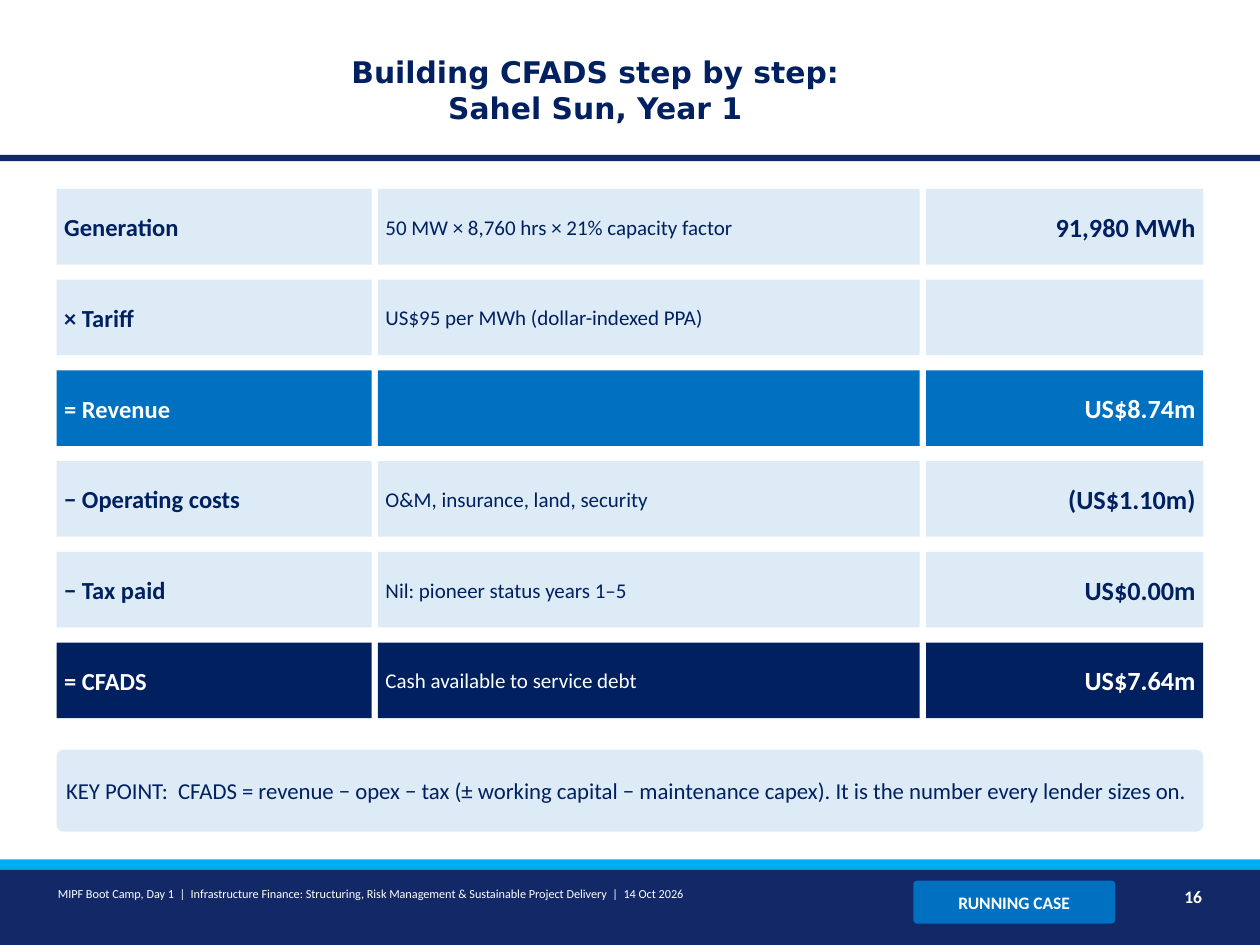
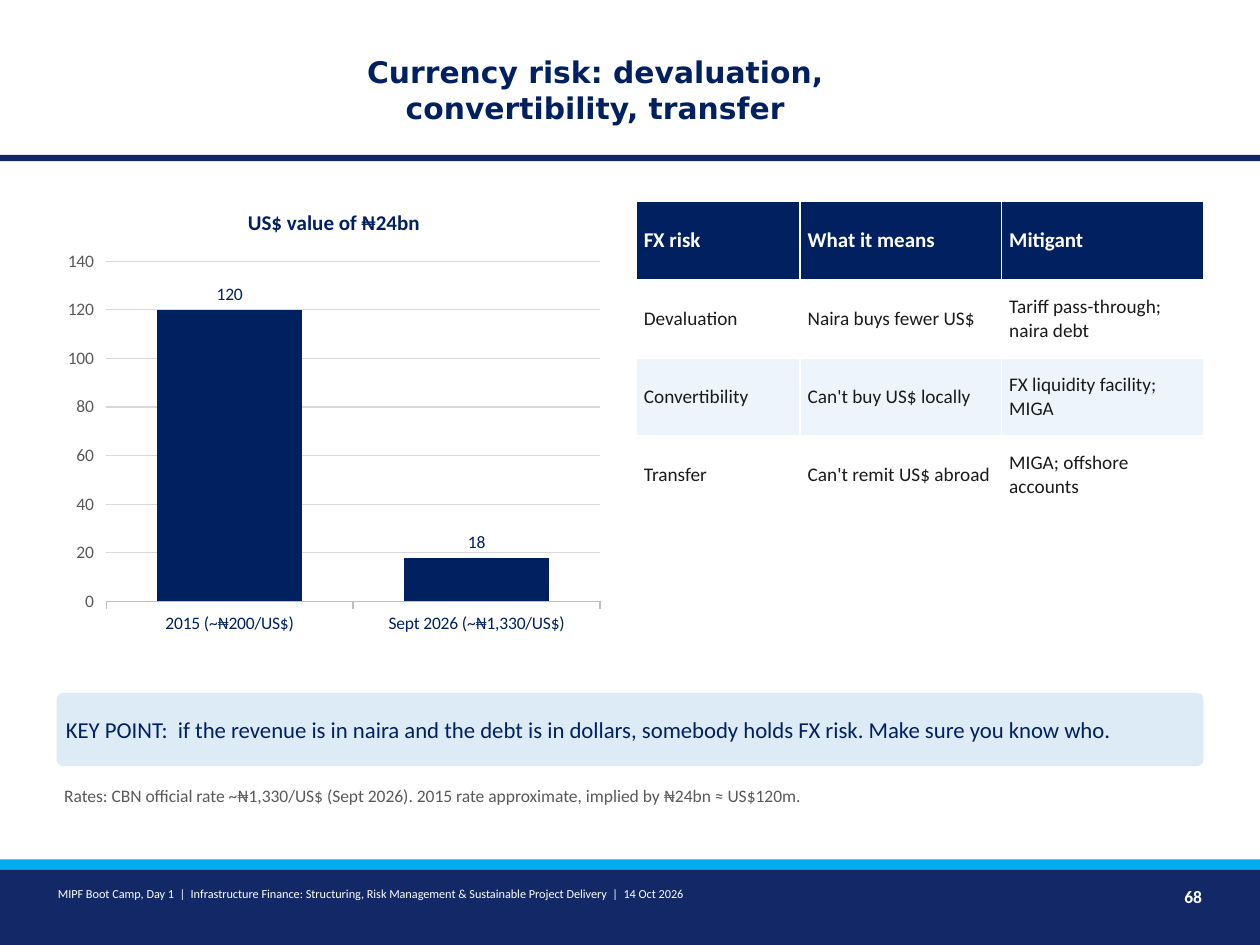
from pptx import Presentation
from pptx.chart.data import CategoryChartData
from pptx.dml.color import RGBColor
from pptx.enum.chart import XL_CHART_TYPE, XL_LABEL_POSITION, XL_TICK_MARK
from pptx.enum.shapes import MSO_SHAPE
from pptx.enum.text import MSO_ANCHOR, MSO_AUTO_SIZE, PP_ALIGN
from pptx.util import Pt

NAVY = RGBColor(0x00, 0x20, 0x60)
BAND_NAVY = RGBColor(0x12, 0x28, 0x67)
BLUE = RGBColor(0x00, 0x70, 0xC0)
CYAN = RGBColor(0x00, 0xAE, 0xEF)
PALE_BLUE = RGBColor(0xDD, 0xEB, 0xF7)
STRIPE = RGBColor(0xEE, 0xF4, 0xFB)
WHITE = RGBColor(0xFF, 0xFF, 0xFF)
INK = RGBColor(0x1A, 0x1A, 0x1A)
GREY = RGBColor(0x59, 0x59, 0x59)
AXIS_GREY = RGBColor(0xBF, 0xBF, 0xBF)
GRID_GREY = RGBColor(0xD9, 0xD9, 0xD9)

RECTANGLE = MSO_SHAPE.RECTANGLE
ROUNDED = MSO_SHAPE.ROUNDED_RECTANGLE
LEFT, CENTER, RIGHT = PP_ALIGN.LEFT, PP_ALIGN.CENTER, PP_ALIGN.RIGHT
TOP, MIDDLE = MSO_ANCHOR.TOP, MSO_ANCHOR.MIDDLE
NO_FIT, GROW = MSO_AUTO_SIZE.NONE, MSO_AUTO_SIZE.SHAPE_TO_FIT_TEXT
COLUMN = XL_CHART_TYPE.COLUMN_CLUSTERED
OUTSIDE_END = XL_LABEL_POSITION.OUTSIDE_END
TICK_OUT = XL_TICK_MARK.OUTSIDE

BODY_FONT = "Calibri"
TITLE_FONT = "DejaVu Sans"
SLIDE_WIDTH, SLIDE_HEIGHT = 720, 540
MARGIN = 32.4
CONTENT_WIDTH = SLIDE_WIDTH - 2 * MARGIN
INSET_X, INSET_Y = 4.32, 2.16
FOOTER = (
    "MIPF Boot Camp, Day 1  |  Infrastructure Finance: Structuring, "
    "Risk Management & Sustainable Project Delivery  |  14 Oct 2026"
)
BANDS = [(88.56, 3.6, BAND_NAVY), (496.8, 43.2, BAND_NAVY), (491.04, 5.76, CYAN)]

CFADS_COLUMNS = [
    (180, 14, True, LEFT),
    (309.6, 12, False, LEFT),
    (158.4, 15, True, RIGHT),
]
CFADS_TOP, CFADS_HEIGHT, CFADS_PITCH, CFADS_GAP = 108, 43.2, 51.84, 3.6
CFADS_ROWS = [
    (PALE_BLUE, NAVY, ("Generation", "50 MW × 8,760 hrs × 21% capacity factor", "91,980 MWh")),
    (PALE_BLUE, NAVY, ("× Tariff", "US$95 per MWh (dollar-indexed PPA)", "")),
    (BLUE, WHITE, ("= Revenue", "", "US$8.74m")),
    (PALE_BLUE, NAVY, ("− Operating costs", "O&M, insurance, land, security", "(US$1.10m)")),
    (PALE_BLUE, NAVY, ("− Tax paid", "Nil: pioneer status years 1–5", "US$0.00m")),
    (NAVY, WHITE, ("= CFADS", "Cash available to service debt", "US$7.64m")),
]

FX_COLUMN_WIDTHS = [93.6, 115.2, 115.2]
FX_ROW_HEIGHT = 44.64
FX_ROWS = [
    ("FX risk", "What it means", "Mitigant"),
    ("Devaluation", "Naira buys fewer US$", "Tariff pass-through; naira debt"),
    ("Convertibility", "Can't buy US$ locally", "FX liquidity facility; MIGA"),
    ("Transfer", "Can't remit US$ abroad", "MIGA; offshore accounts"),
]


def style_font(font, size, color, bold=False, name=BODY_FONT):
    font.name = name
    font.size = Pt(size)
    font.bold = bold
    font.color.rgb = color


def write(text_frame, text, size, color, bold=False, align=LEFT, name=BODY_FONT):
    paragraph = text_frame.paragraphs[0]
    paragraph.alignment = align
    run = paragraph.add_run()
    run.text = text
    style_font(run.font, size, color, bold, name)
    return paragraph


def set_insets(holder):
    holder.margin_left = holder.margin_right = Pt(INSET_X)
    holder.margin_top = holder.margin_bottom = Pt(INSET_Y)


def add_box(slide, kind, left, top, width, height, fill):
    shape = slide.shapes.add_shape(kind, Pt(left), Pt(top), Pt(width), Pt(height))
    shape.shadow.inherit = False
    shape.fill.solid()
    shape.fill.fore_color.rgb = fill
    shape.line.fill.background()
    if kind == ROUNDED:
        shape.adjustments[0] = 0.08
    return shape


def add_text_box(slide, kind, left, top, width, height, fill, text, size, color,
                 bold=False, align=LEFT):
    shape = add_box(slide, kind, left, top, width, height, fill)
    if text:
        text_frame = shape.text_frame
        text_frame.word_wrap = True
        text_frame.vertical_anchor = MIDDLE
        set_insets(text_frame)
        write(text_frame, text, size, color, bold, align)


def add_label(slide, left, top, width, height, text, size, color, bold=False, align=LEFT):
    text_box = slide.shapes.add_textbox(Pt(left), Pt(top), Pt(width), Pt(height))
    text_frame = text_box.text_frame
    text_frame.word_wrap = True
    text_frame.auto_size = GROW
    text_frame.vertical_anchor = TOP
    set_insets(text_frame)
    return write(text_frame, text, size, color, bold, align)


def add_key_point(slide, top, height, text):
    add_text_box(slide, ROUNDED, MARGIN, top, CONTENT_WIDTH, height, PALE_BLUE,
                 "KEY POINT:  " + text, 13, NAVY)


def add_framed_slide(presentation, title_text, number):
    slide = presentation.slides.add_slide(presentation.slide_layouts[5])
    for top, height, color in BANDS:
        add_box(slide, RECTANGLE, 0, top, SLIDE_WIDTH, height, color)
    title = slide.shapes.title
    title.left, title.top = Pt(165.6), Pt(15.84)
    title.width, title.height = Pt(349.2), Pt(70.56)
    title.text_frame.word_wrap = True
    title.text_frame.auto_size = NO_FIT
    title.text_frame.vertical_anchor = MIDDLE
    write(title.text_frame, title_text, 17, NAVY, True, CENTER, TITLE_FONT)
    add_label(slide, 28.8, 504, 489.6, 25.2, FOOTER, 7, WHITE)
    add_label(slide, 648, 504, 43.2, 25.2, number, 10, WHITE, True, RIGHT)
    return slide


def add_cfads_grid(slide):
    for index, (fill, color, texts) in enumerate(CFADS_ROWS):
        left = MARGIN
        top = CFADS_TOP + index * CFADS_PITCH
        for text, (width, size, bold, align) in zip(texts, CFADS_COLUMNS):
            add_text_box(slide, RECTANGLE, left, top, width, CFADS_HEIGHT, fill,
                         text, size, color, bold, align)
            left += width + CFADS_GAP


def add_naira_chart(slide):
    data = CategoryChartData(number_format="0")
    data.categories = ["2015 (~₦200/US$)", "Sept 2026 (~₦1,330/US$)"]
    data.add_series("Series 1", (120, 18))
    frame = slide.shapes.add_chart(COLUMN, Pt(MARGIN), Pt(108), Pt(316.8), Pt(259.2), data)
    chart = frame.chart
    style_font(chart.font, 11, NAVY)
    chart.has_legend = False
    chart.has_title = True
    write(chart.chart_title.text_frame, "US$ value of ₦24bn", 12, NAVY, True, CENTER)
    chart.chart_title.include_in_layout = False

    plot = chart.plots[0]
    plot.gap_width = 70
    plot.vary_by_categories = False
    bars = plot.series[0]
    bars.format.fill.solid()
    bars.format.fill.fore_color.rgb = NAVY
    plot.has_data_labels = True
    labels = plot.data_labels
    labels.show_value = True
    labels.position = OUTSIDE_END
    labels.number_format = "0"
    labels.number_format_is_linked = False
    style_font(labels.font, 10, NAVY)

    category_axis, value_axis = chart.category_axis, chart.value_axis
    for axis, color in ((category_axis, NAVY), (value_axis, GREY)):
        axis.major_tick_mark = TICK_OUT
        style_font(axis.tick_labels.font, 10, color)
    category_axis.format.line.color.rgb = AXIS_GREY
    category_axis.format.line.width = Pt(0.75)
    value_axis.minimum_scale = 0
    value_axis.maximum_scale = 140
    value_axis.major_unit = 20
    value_axis.format.line.fill.background()
    value_axis.has_major_gridlines = True
    gridline = value_axis.major_gridlines.format.line
    gridline.color.rgb = GRID_GREY
    gridline.width = Pt(0.75)


def add_fx_table(slide):
    frame = slide.shapes.add_table(
        len(FX_ROWS), len(FX_COLUMN_WIDTHS), Pt(363.6), Pt(115.2),
        Pt(sum(FX_COLUMN_WIDTHS)), Pt(FX_ROW_HEIGHT * len(FX_ROWS)))
    table = frame.table
    for column, width in zip(table.columns, FX_COLUMN_WIDTHS):
        column.width = Pt(width)
    for row_index, texts in enumerate(FX_ROWS):
        table.rows[row_index].height = Pt(FX_ROW_HEIGHT)
        if row_index == 0:
            fill, size, color, bold = NAVY, 12, WHITE, True
        else:
            fill = WHITE if row_index % 2 else STRIPE
            size, color, bold = 11, INK, False
        for column_index, text in enumerate(texts):
            cell = table.cell(row_index, column_index)
            cell.fill.solid()
            cell.fill.fore_color.rgb = fill
            cell.vertical_anchor = MIDDLE
            set_insets(cell)
            write(cell.text_frame, text, size, color, bold)


def build_cfads_slide(presentation):
    slide = add_framed_slide(
        presentation, "Building CFADS step by step: Sahel Sun, Year 1", "16")
    add_text_box(slide, ROUNDED, 522, 503.28, 115.2, 24.48, BLUE,
                 "RUNNING CASE", 10, WHITE, True, CENTER)
    add_cfads_grid(slide)
    add_key_point(slide, 428.4, 46.8,
                  "CFADS = revenue − opex − tax (± working capital − maintenance capex). "
                  "It is the number every lender sizes on.")


def build_currency_slide(presentation):
    slide = add_framed_slide(
        presentation, "Currency risk: devaluation, convertibility, transfer", "68")
    add_naira_chart(slide)
    add_fx_table(slide)
    add_key_point(slide, 396, 41.76,
                  "if the revenue is in naira and the debt is in dollars, "
                  "somebody holds FX risk. Make sure you know who.")
    rates = add_label(slide, MARGIN, 446.4, CONTENT_WIDTH, 28.8,
                      "Rates: CBN official rate ~₦1,330/US$ (Sept 2026). "
                      "2015 rate approximate, implied by ₦24bn ≈ US$120m.", 10, GREY)
    rates.space_after = Pt(4)


def main():
    presentation = Presentation()
    presentation.slide_width = Pt(SLIDE_WIDTH)
    presentation.slide_height = Pt(SLIDE_HEIGHT)
    build_cfads_slide(presentation)
    build_currency_slide(presentation)
    presentation.save("out.pptx")


if __name__ == "__main__":
    main()
